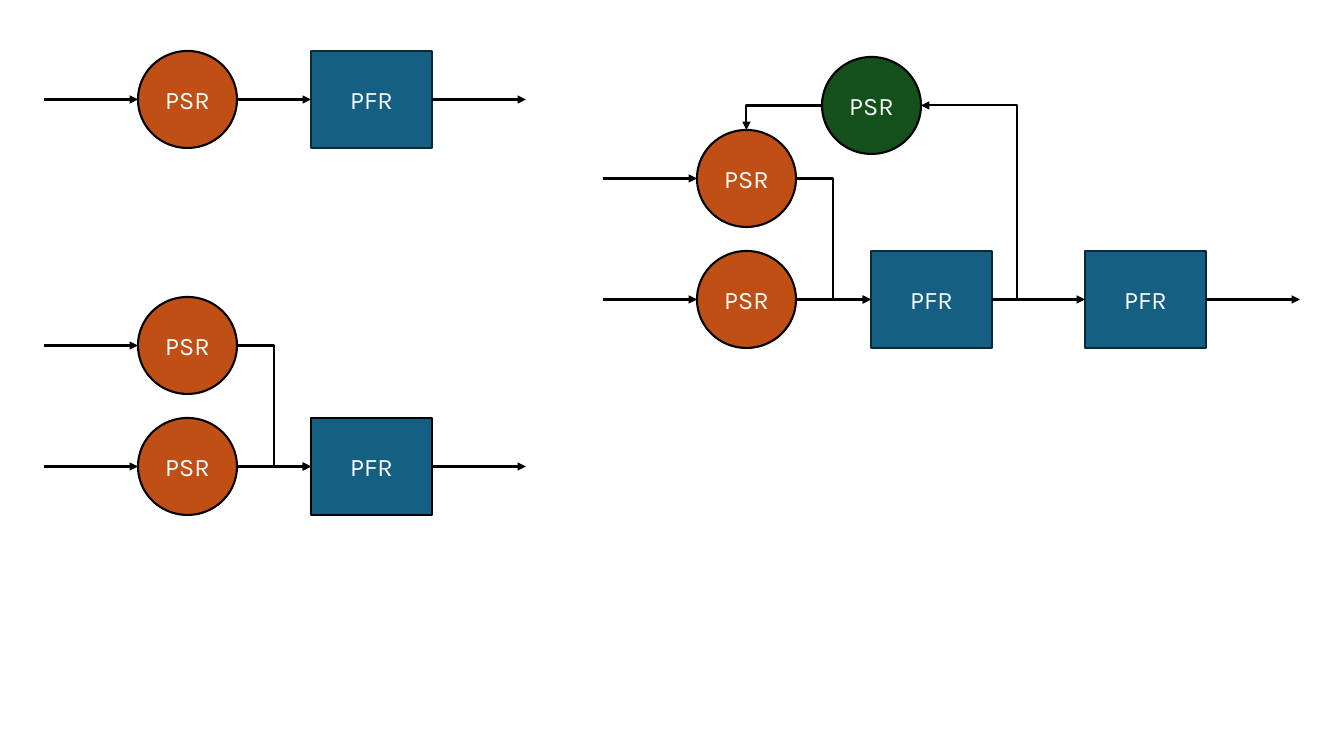
from lxml.etree import SubElement
from pptx import Presentation
from pptx.dml.color import RGBColor
from pptx.enum.shapes import MSO_CONNECTOR, MSO_SHAPE
from pptx.enum.text import MSO_ANCHOR, PP_ALIGN
from pptx.oxml.ns import qn
from pptx.util import Emu, Pt

PX = 914400 / 100.8
BLACK = RGBColor(0x00, 0x00, 0x00)
WHITE = RGBColor(0xFF, 0xFF, 0xFF)
ORANGE = RGBColor(0xC0, 0x4F, 0x15)
GREEN = RGBColor(0x13, 0x50, 0x1B)
BLUE = RGBColor(0x15, 0x60, 0x82)
NAVY = RGBColor(0x09, 0x2A, 0x39)

HEIGHT = 97
STREAM = 94
KINDS = {"PSR": (MSO_SHAPE.OVAL, 99), "PFR": (MSO_SHAPE.RECTANGLE, 121)}
SITES = {
    "PSR": {"top": 0, "left": 2, "right": 6},
    "PFR": {"top": 0, "left": 1, "right": 3},
}
REACTORS = {
    "series tank": ("PSR", 138, 51, ORANGE, BLACK),
    "series tube": ("PFR", 311, 51, BLUE, NAVY),
    "merge upper tank": ("PSR", 138, 297, ORANGE, BLACK),
    "merge lower tank": ("PSR", 138, 418, ORANGE, BLACK),
    "merge tube": ("PFR", 311, 418, BLUE, BLACK),
    "loop upper tank": ("PSR", 697, 130, ORANGE, BLACK),
    "loop lower tank": ("PSR", 697, 251, ORANGE, BLACK),
    "loop first tube": ("PFR", 871, 251, BLUE, NAVY),
    "loop last tube": ("PFR", 1085, 251, BLUE, NAVY),
    "recycle tank": ("PSR", 822, 57, GREEN, BLACK),
}
FEEDS = [
    "series tank", "merge upper tank", "merge lower tank",
    "loop upper tank", "loop lower tank",
]
OUTLETS = ["series tube", "merge tube", "loop last tube"]
LINKS = [
    ("series tank", "series tube"),
    ("merge lower tank", "merge tube"),
    ("loop lower tank", "loop first tube"),
    ("loop first tube", "loop last tube"),
]
BENDS = [
    ("merge upper tank", "right", "merge tube", "left", "bentConnector3", 50000),
    ("loop upper tank", "right", "loop first tube", "left", "bentConnector3", 50000),
    ("loop first tube", "right", "recycle tank", "right", "bentConnector3", -35200),
    ("recycle tank", "left", "loop upper tank", "top", "bentConnector2", None),
]


def port(reactor, side):
    kind, left, top = REACTORS[reactor][:3]
    width = KINDS[kind][1]
    return {
        "left": (left, top + HEIGHT / 2),
        "right": (left + width, top + HEIGHT / 2),
        "top": (left + width / 2, top),
    }[side]


def add_stream(start, end, route=MSO_CONNECTOR.STRAIGHT):
    stream = slide.shapes.add_connector(
        route, *[Emu(round(length * PX)) for length in (*start, *end)]
    )
    stream.line.color.rgb = BLACK
    stream.line.width = Pt(1.5)
    properties = stream.element.spPr
    SubElement(properties.get_or_add_ln(), qn("a:tailEnd"), type="triangle")
    SubElement(properties, qn("a:effectLst"))
    return stream


presentation = Presentation()
presentation.slide_width = Emu(round(1344 * PX))
presentation.slide_height = Emu(round(756 * PX))
slide = presentation.slides.add_slide(presentation.slide_layouts[6])

vessels = {}
for reactor, (kind, left, top, fill, outline) in REACTORS.items():
    form, width = KINDS[kind]
    vessel = slide.shapes.add_shape(
        form, *[Emu(round(length * PX)) for length in (left, top, width, HEIGHT)]
    )
    vessel.shadow.inherit = False
    vessel.fill.solid()
    vessel.fill.fore_color.rgb = fill
    vessel.line.color.rgb = outline
    vessel.line.width = Pt(1.5)
    vessel.text_frame.vertical_anchor = MSO_ANCHOR.MIDDLE
    label = vessel.text_frame.paragraphs[0]
    label.alignment = PP_ALIGN.CENTER
    run = label.add_run()
    run.text = kind
    for attribute, value in {"name": "Karla", "size": Pt(18)}.items():
        setattr(run.font, attribute, value)
    run.font.color.rgb = WHITE
    vessels[reactor] = vessel

for reactor in FEEDS:
    x, y = port(reactor, "left")
    add_stream((x - STREAM, y), (x, y))

for reactor in OUTLETS:
    x, y = port(reactor, "right")
    add_stream((x, y), (x + STREAM, y))

for source, target in LINKS:
    add_stream(port(source, "right"), port(target, "left"))

for source, exit_side, target, entry_side, preset, bend in BENDS:
    stream = add_stream(
        port(source, exit_side), port(target, entry_side), MSO_CONNECTOR.ELBOW
    )
    geometry = stream.element.spPr.find(qn("a:prstGeom"))
    geometry.set("prst", preset)
    if bend is not None:
        SubElement(
            geometry.find(qn("a:avLst")), qn("a:gd"), name="adj1", fmla=f"val {bend}"
        )
    joints = stream.element.nvCxnSpPr.cNvCxnSpPr
    for tag, reactor, side in (
        ("a:stCxn", source, exit_side),
        ("a:endCxn", target, entry_side),
    ):
        site = SITES[REACTORS[reactor][0]][side]
        SubElement(
            joints, qn(tag), id=str(vessels[reactor].shape_id), idx=str(site)
        )

presentation.save("out.pptx")
